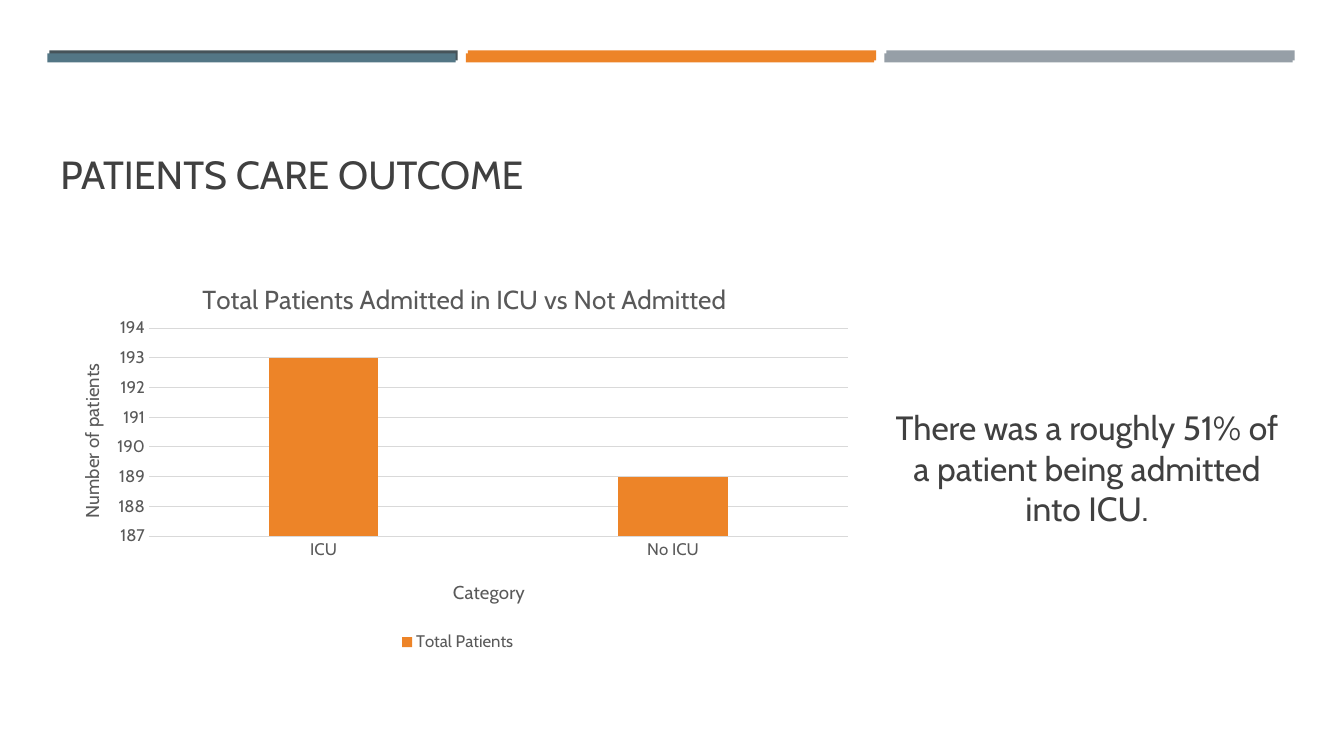
from lxml.etree import SubElement
from pptx import Presentation
from pptx.chart.data import CategoryChartData
from pptx.dml.color import RGBColor
from pptx.enum.chart import XL_CHART_TYPE, XL_LEGEND_POSITION, XL_TICK_MARK
from pptx.enum.shapes import MSO_SHAPE
from pptx.enum.text import MSO_ANCHOR, PP_ALIGN
from pptx.oxml.ns import qn
from pptx.util import Emu, Pt

PX = 9144  # 100 px to the inch
FONT = "Cabin"
DARK, GREY, GRID = "404040", "595959", "D9D9D9"
ORANGE, SLATE, TEAL, SILVER = "ED8428", "465359", "537685", "969FA7"


def px(*lengths):
    return [Emu(length * PX) for length in lengths]


def color(hex_string):
    return RGBColor.from_string(hex_string)


def style_font(font, size, hex_string):
    font.name = FONT
    font.size = Pt(size)
    font.bold = False
    font.color.rgb = color(hex_string)


def style_line(line, hex_string):
    line.color.rgb = color(hex_string)
    line.width = Pt(0.75)


def add_stripes(slide, left, top, height, fills):
    """Draw a row of equal bars across the head of the slide."""
    for index, fill in enumerate(fills):
        box = px(left + index * 415, top, 405, height)
        shape = slide.shapes.add_shape(MSO_SHAPE.RECTANGLE, *box)
        shape.shadow.inherit = False
        shape.fill.solid()
        shape.fill.fore_color.rgb = color(fill)
        shape.line.fill.background()


def add_text(slide, box, text, size, anchor, alignment):
    frame = slide.shapes.add_textbox(*px(*box)).text_frame
    frame.word_wrap = True
    frame.vertical_anchor = anchor
    paragraph = frame.paragraphs[0]
    paragraph.alignment = alignment
    run = paragraph.add_run()
    run.text = text
    style_font(run.font, size, DARK)
    return frame


def set_layout(element, index, **values):
    """Give a chart part a manual layout as fractions of the chart."""
    for old in element.findall(qn("c:layout")):
        element.remove(old)
    layout = SubElement(element, qn("c:layout"))
    element.insert(index, layout)
    manual = SubElement(layout, qn("c:manualLayout"))
    for name, value in values.items():
        SubElement(manual, qn(f"c:{name}")).set("val", str(value))


def set_title(owner_title, text, size, x, y):
    run = owner_title.text_frame.paragraphs[0].add_run()
    run.text = text
    style_font(run.font, size, GREY)
    set_layout(owner_title._element, 1, xMode="edge", yMode="edge", x=x, y=y)


def style_axis(axis):
    axis.major_tick_mark = XL_TICK_MARK.NONE
    axis.minor_tick_mark = XL_TICK_MARK.NONE
    style_font(axis.tick_labels.font, 12, GREY)


def add_patient_chart(slide, box):
    data = CategoryChartData()
    data.categories = ["ICU", "No ICU"]
    data.add_series("Total Patients", [193, 189])
    chart = slide.shapes.add_chart(
        XL_CHART_TYPE.COLUMN_CLUSTERED, *px(*box), data).chart
    style_font(chart.font, 10, "000000")
    chart.has_title = True
    set_title(chart.chart_title, "Total Patients Admitted in ICU vs Not Admitted",
              18.6, 0.18, 0.05)

    category_axis, value_axis = chart.category_axis, chart.value_axis
    style_axis(category_axis)
    style_line(category_axis.format.line, GRID)
    set_title(category_axis.axis_title, "Category", 13.3, 0.49, 0.8)

    style_axis(value_axis)
    value_axis.minimum_scale, value_axis.maximum_scale = 187, 194
    value_axis.major_unit = 1
    value_axis.format.line.fill.background()
    style_line(value_axis.major_gridlines.format.line, GRID)
    set_title(value_axis.axis_title, "Number of patients", 13.3, 0.03, 0.26)

    chart.has_legend = True
    chart.legend.position = XL_LEGEND_POSITION.BOTTOM
    chart.legend.include_in_layout = False
    style_font(chart.legend.font, 12, GREY)

    plot = chart.plots[0]
    plot.vary_by_categories = False
    plot.gap_width, plot.overlap = 219, -27
    fill = plot.series[0].format.fill
    fill.solid()
    fill.fore_color.rgb = color(ORANGE)
    set_layout(chart._chartSpace.chart.plotArea, 0, layoutTarget="inner",
               xMode="edge", yMode="edge", x=0.12, y=0.18, w=0.86, h=0.52)


def main():
    presentation = Presentation()
    presentation.slide_width, presentation.slide_height = px(1333, 750)
    slide = presentation.slides.add_slide(presentation.slide_layouts[6])
    add_stripes(slide, 49, 50, 10, [SLATE, ORANGE, SILVER])
    add_stripes(slide, 47, 53, 9, [TEAL, ORANGE, SILVER])
    add_text(slide, (50, 76, 1232, 125), "PATIENTS CARE OUTCOME", 28,
             MSO_ANCHOR.BOTTOM, PP_ALIGN.LEFT)
    add_patient_chart(slide, (51, 254, 806, 397))
    finding = add_text(
        slide, (874, 254, 408, 397),
        "There was a roughly 51% of a patient being admitted into ICU.", 24,
        MSO_ANCHOR.MIDDLE, PP_ALIGN.CENTER)
    finding.margin_top, = px(28)
    presentation.save("out.pptx")


if __name__ == "__main__":
    main()
